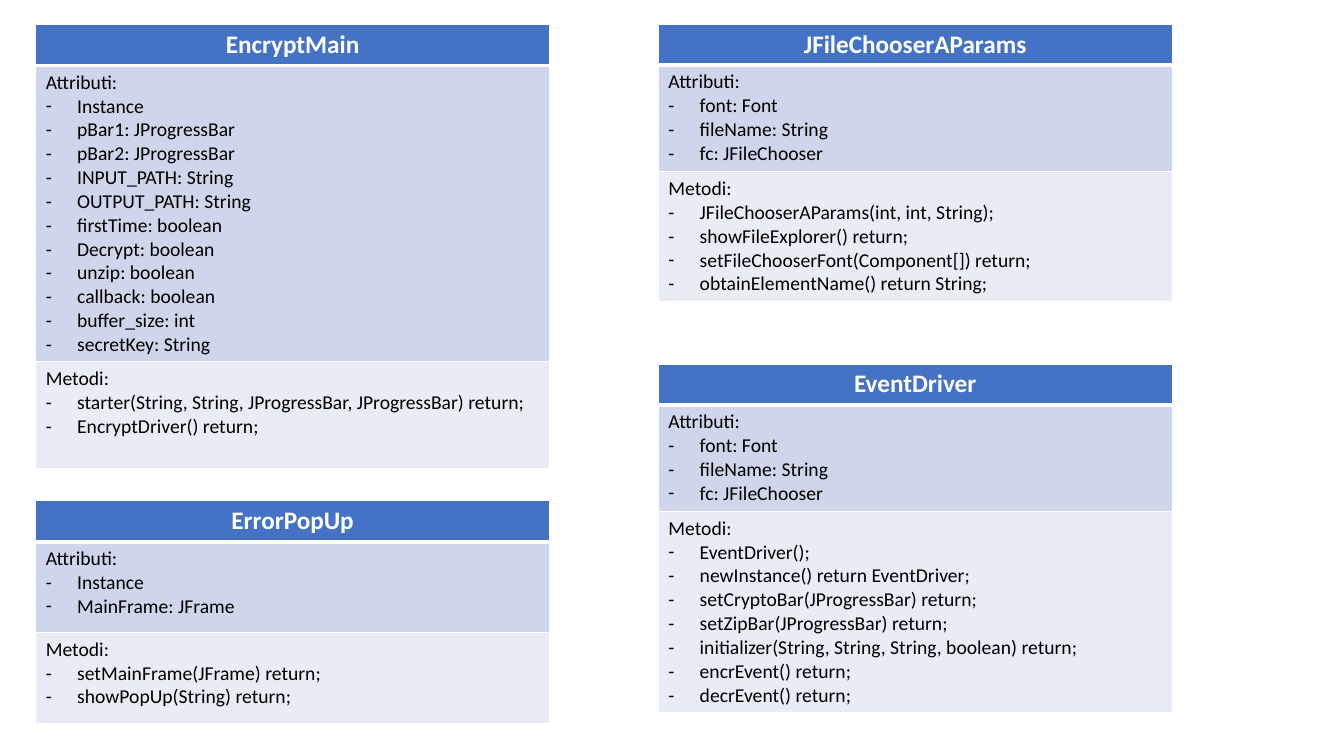
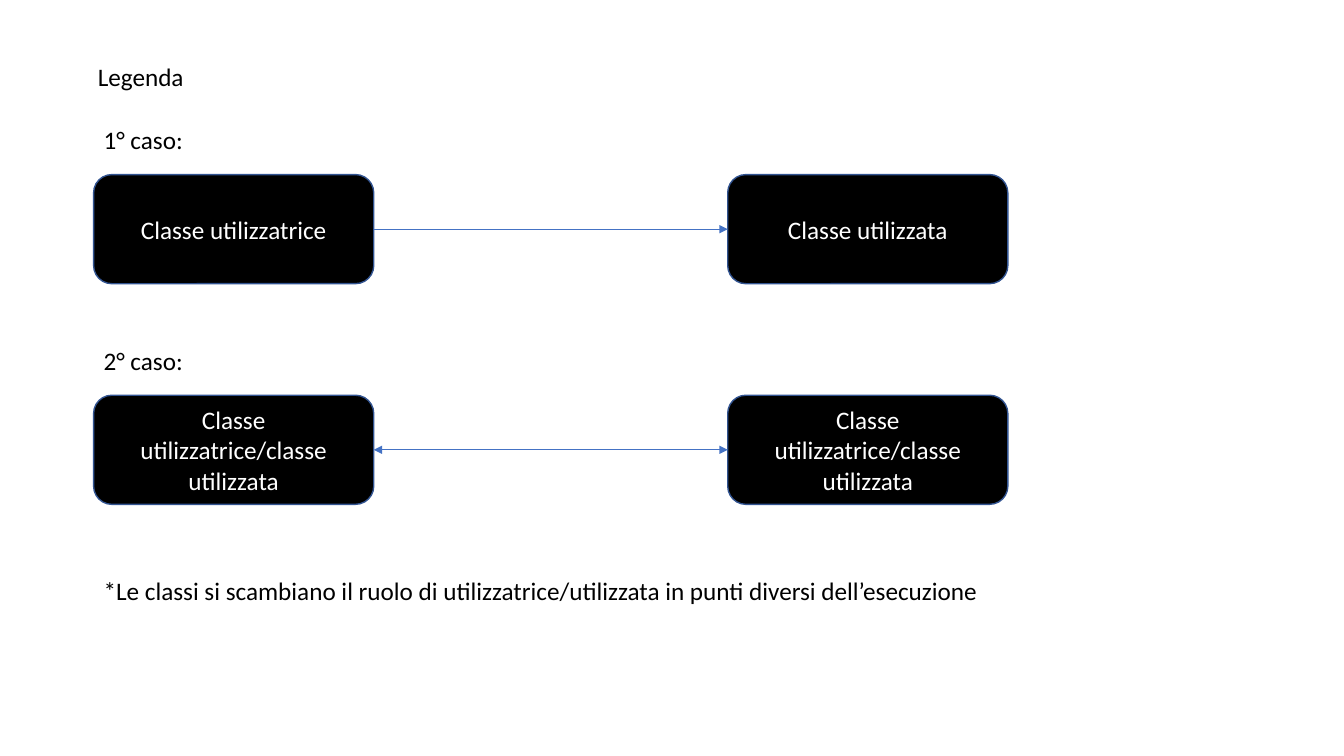
from dataclasses import dataclass

from lxml import etree
from pptx import Presentation
from pptx.dml.color import RGBColor
from pptx.enum.shapes import MSO_CONNECTOR, MSO_SHAPE
from pptx.enum.text import MSO_ANCHOR, MSO_AUTO_SIZE, PP_ALIGN
from pptx.oxml.ns import qn
from pptx.util import Cm, Pt

LEFT, MID = PP_ALIGN.LEFT, PP_ALIGN.CENTER
TOP, CENTER = MSO_ANCHOR.TOP, MSO_ANCHOR.MIDDLE
GROW, FIXED = MSO_AUTO_SIZE.SHAPE_TO_FIT_TEXT, MSO_AUTO_SIZE.NONE
ROUND, LINE = MSO_SHAPE.ROUNDED_RECTANGLE, MSO_CONNECTOR.STRAIGHT
ONLY, BLANK = 5, 6  # layout numbers
WEST, EAST = 1, 3  # connection sites of a box


@dataclass(frozen=True)
class Theme:
    font: str = "Calibri"
    big: int = 18
    small: int = 14
    ink: str = "000000"
    paper: str = "FFFFFF"
    blue: str = "4472C4"
    edge: str = "325491"
    tint: str = "CFD5EA"
    pale: str = "E9EBF5"


T = Theme()

# Class tables: name, left, top, row heights (cm), attributes, methods
WIDE = 12.95
COL1, COL2 = 0.9, 16.59
FILES = ["font: Font", "fileName: String", "fc: JFileChooser"]
CARDS = [
    ("EncryptMain", COL1, 0.61, (1.04, 7.43, 2.7),
     ["Instance", "pBar1: JProgressBar", "pBar2: JProgressBar",
      "INPUT_PATH: String", "OUTPUT_PATH: String", "firstTime: boolean",
      "Decrypt: boolean", "unzip: boolean", "callback: boolean",
      "buffer_size: int", "secretKey: String"],
     ["starter(String, String, JProgressBar, JProgressBar) return;",
      "EncryptDriver() return;"]),
    ("ErrorPopUp", COL1, 12.62, (1.02, 2.29, 2.29),
     ["Instance", "MainFrame: JFrame"],
     ["setMainFrame(JFrame) return;", "showPopUp(String) return;"]),
    ("JFileChooserAParams", COL2, 0.61, (1.02, 2.69, 3.25),
     FILES,
     ["JFileChooserAParams(int, int, String);", "showFileExplorer() return;",
      "setFileChooserFont(Component[]) return;",
      "obtainElementName() return String;"]),
    ("EventDriver", COL2, 9.17, (1.02, 2.69, 5.05),
     FILES,
     ["EventDriver();", "newInstance() return EventDriver;",
      "setCryptoBar(JProgressBar) return;", "setZipBar(JProgressBar) return;",
      "initializer(String, String, String, boolean) return;",
      "encrEvent() return;", "decrEvent() return;"]),
]

# Legend cases: label, left box, right box, arrow at both ends
BOTH = "Classe utilizzatrice/classe utilizzata"
CASES = [
    ("1° caso:", "Classe utilizzatrice", "Classe utilizzata", False),
    ("2° caso:", BOTH, BOTH, True),
]
NOTE = ("*Le classi si scambiano il ruolo di utilizzatrice/utilizzata "
        "in punti diversi dell’esecuzione")


def rgb(code):
    return RGBColor.from_string(code)


def apply(item, form):
    for key, value in form.items():
        setattr(item, key, value)


def place(item, *box):
    sides = ("left", "top", "width", "height")
    apply(item, dict(zip(sides, map(Cm, box))))


def paint(item, color):
    item.fill.solid()
    item.fill.fore_color.rgb = rgb(color)


def stroke(line, color, width):
    line.color.rgb = rgb(color)
    line.width = Pt(width)


def node(root, tag, **attrs):
    return etree.SubElement(root, qn(tag), attrs)


def write(para, text, color=T.ink, align=LEFT, size=T.big, bold=False):
    run = para.add_run()
    run.text = text
    para.alignment = align
    apply(run.font, {"name": T.font, "size": Pt(size), "bold": bold})
    run.font.color.rgb = rgb(color)


def dash(para):
    props = para._p.get_or_add_pPr()
    indent = Cm(0.79)
    props.set("marL", str(indent))
    props.set("indent", str(-indent))
    node(props, "a:buFont", typeface=T.font)
    node(props, "a:buChar", char="-")


# Table parts
def border(cell, top, low):
    props = cell._tc.get_or_add_tcPr()
    for side, width in zip("LRTB", (1, 1, top, low)):
        line = node(props, f"a:ln{side}", w=str(Pt(width)))
        node(node(line, "a:solidFill"), "a:srgbClr", val=T.paper)


def items(cell, head, names):
    frame = cell.text_frame
    write(frame.paragraphs[0], head, size=T.small)
    for name in names:
        para = frame.add_paragraph()
        write(para, name, size=T.small)
        dash(para)


def card(slide, name, left, top, rows, fields, calls):
    box = map(Cm, (left, top, WIDE, sum(rows)))
    table = slide.shapes.add_table(len(rows), 1, *box).table
    apply(table, {"first_row": False, "horz_banding": False})
    looks = ((T.blue, 1, 3), (T.tint, 3, 1), (T.pale, 1, 1))
    for i, (color, high, low) in enumerate(looks):
        table.rows[i].height = Cm(rows[i])
        border(table.cell(i, 0), high, low)
        paint(table.cell(i, 0), color)
    head = table.cell(0, 0).text_frame.paragraphs[0]
    write(head, name, T.paper, MID, bold=True)
    items(table.cell(1, 0), "Attributi:", fields)
    items(table.cell(2, 0), "Metodi:", calls)


# Legend parts
def title(slide, text, *box):
    shape = slide.shapes.title
    place(shape, *box)
    frame = shape.text_frame
    apply(frame, {"word_wrap": True, "auto_size": FIXED,
                  "vertical_anchor": TOP})
    write(frame.paragraphs[0], text)


def label(slide, text, *box):
    frame = slide.shapes.add_textbox(*map(Cm, box)).text_frame
    apply(frame, {"word_wrap": True, "auto_size": GROW})
    write(frame.paragraphs[0], text)


def block(slide, text, left, top):
    shape = slide.shapes.add_shape(ROUND, *map(Cm, (left, top, 7.06, 2.75)))
    shape.shadow.inherit = False
    paint(shape, T.ink)
    stroke(shape.line, T.edge, 1)
    apply(shape.text_frame, {"word_wrap": True, "vertical_anchor": CENTER})
    write(shape.text_frame.paragraphs[0], text, T.paper, MID)
    return shape


def arrow(slide, start, end, both):
    link = slide.shapes.add_connector(LINE, 0, 0, 0, 0)
    link.begin_connect(start, EAST)
    link.end_connect(end, WEST)
    stroke(link.line, T.blue, 0.5)
    line = link.line._get_or_add_ln()
    if both:
        node(line, "a:headEnd", type="triangle")
    node(line, "a:tailEnd", type="triangle")
    node(link._element.spPr, "a:effectLst")


def case(slide, top, text, user, used, both):
    label(slide, text, 2.36, top, 7.7, 1.03)
    start = block(slide, user, 2.36, top + 1.38)
    end = block(slide, used, 18.34, top + 1.38)
    arrow(slide, start, end, both)


def main():
    deck = Presentation()
    apply(deck, {"slide_width": Cm(33.87), "slide_height": Cm(19.05)})

    # Class cards
    slide = deck.slides.add_slide(deck.slide_layouts[BLANK])
    for entry in CARDS:
        card(slide, *entry)

    # Legend
    slide = deck.slides.add_slide(deck.slide_layouts[ONLY])
    title(slide, "Legenda", 2.21, 1.42, 10.87, 1.03)
    for i, entry in enumerate(CASES):
        case(slide, 3.02 + 5.56 * i, *entry)
    label(slide, NOTE, 2.36, 14.38, 23.06, 1.03)

    deck.save("out.pptx")


main()
